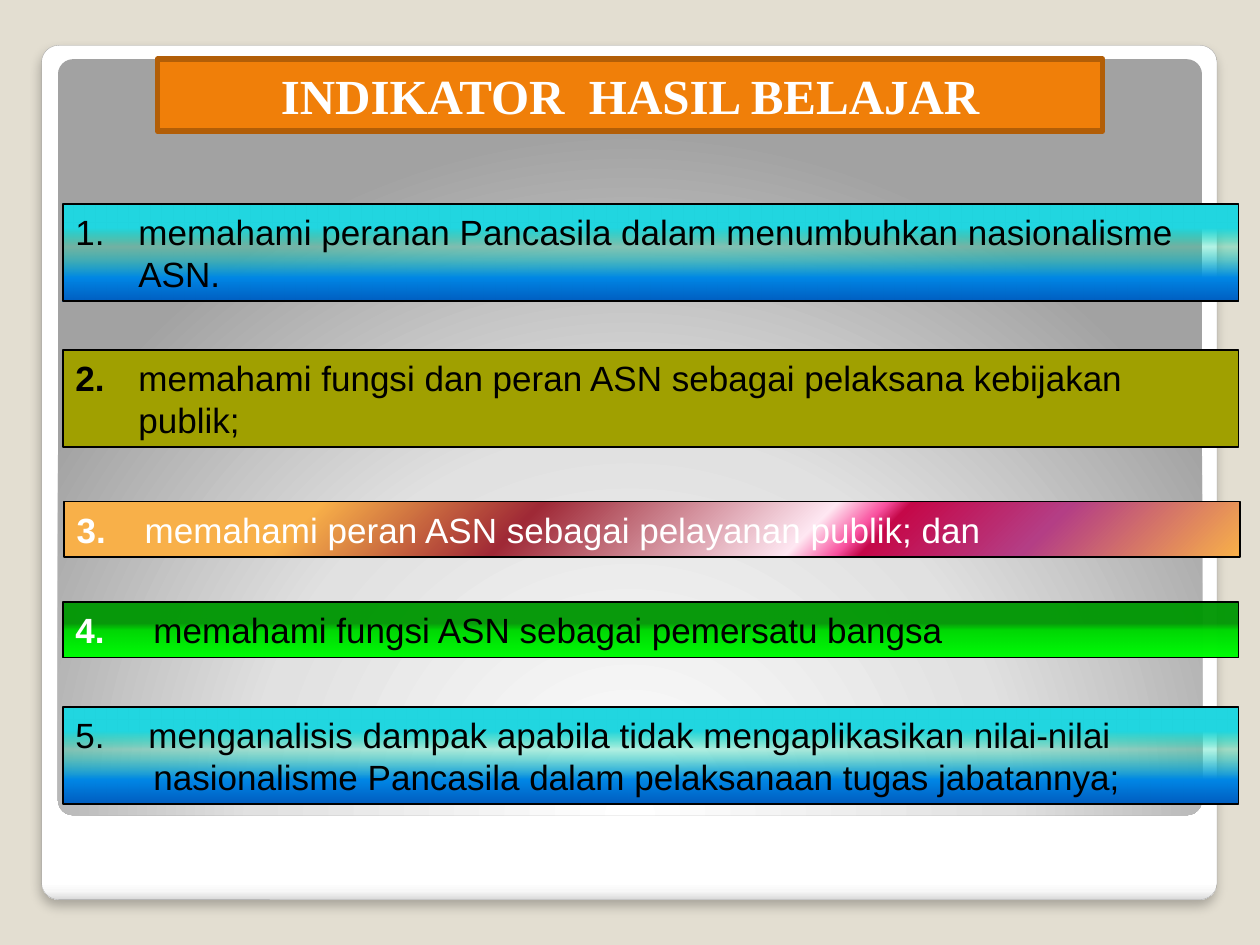
from dataclasses import dataclass

from pptx import Presentation
from pptx import util as u
from pptx.dml.color import RGBColor
from pptx.enum import shapes, text
from pptx.oxml import ns, parse_xml


@dataclass(frozen=True)
class Theme:
    """Colours, gradients, fonts and type sizes of the slide."""
    back: str = "E3DED1"
    edge: str = "A4A4A4"
    head: str = "F07F09"
    rim: str = "B25E07"
    dark: str = "000000"
    light: str = "FFFFFF"
    olive: str = "A0A000"
    card: tuple = ((0, "FFFFFF"), (98, "FFFFFF"), (99, "F7F7F7"), (100, "DADADA"))
    glow: tuple = ((0, "FFFFFF"), (55, "E1E1E1"), (100, "A2A2A2"))
    sea: tuple = ((25, "21D6E0"), (44, "03D4A8", 29), (75, "0087E6"), (100, "005CBF"))
    green: tuple = ((38, "009804", 96), (50, "00D805"), (100, "01FF07"))
    dawn: tuple = ((13, "F8B049"), (21, "F8B049"), (39, "9F2936"), (63, "FEE7F2"),
                   (67, "F952A0"), (69, "C50849"), (82, "B43E85"), (100, "F8B049"))
    serif: str = "Times New Roman"
    sans: str = "Arial"
    big: int = 28
    body: int = 20


def node(tag, inner="", **attrs):
    """Return a drawing element made from a tag, inner XML and attributes."""
    pairs = " ".join(f'{key}="{val}"' for key, val in attrs.items())
    return parse_xml(f'<a:{tag} {ns.nsdecls("a")} {pairs}>{inner}</a:{tag}>')


def write(para, words, font, size, color, bold=False):
    """Add a formatted run to a paragraph."""
    run = para.add_run()
    run.text = words
    run.font.name, run.font.size, run.font.bold = font, u.Pt(size), bold
    run.font.color.rgb = RGBColor.from_string(color)


def hang(para, depth, first=True):
    """Indent a paragraph, with its first line hanging back when asked."""
    props = para._p.get_or_add_pPr()
    props.set("marL", str(u.Inches(depth)))
    props.set("indent", str(-u.Inches(depth) if first else 0))
    return props


class Deck:
    """Holds the theme and the current slide."""

    def __init__(self, theme):
        """Open a blank title-only slide."""
        self.theme = theme
        self.prs = Presentation()
        self.prs.slide_width, self.prs.slide_height = u.Inches(10), u.Inches(7.5)
        self.slide = self.prs.slides.add_slide(self.prs.slide_layouts[5])
        fill = self.slide.background.fill
        fill.solid()
        fill.fore_color.rgb = RGBColor.from_string(theme.back)

    def paint(self, shape, fill, line=None, thick=1, angle=90):
        """Give a shape a plain or gradient fill and an outline."""
        if isinstance(fill, str):
            shape.fill.solid()
            shape.fill.fore_color.rgb = RGBColor.from_string(fill)
        else:
            self.blend(shape, fill, angle)
        if line:
            shape.line.color.rgb = RGBColor.from_string(line)
            shape.line.width = u.Pt(thick)
        else:
            shape.line.fill.background()

    def blend(self, shape, stops, angle):
        """Fill a shape with a linear gradient, or a radial one without angle."""
        marks = ""
        for spot, color, *alpha in stops:
            clear = f'<a:alpha val="{alpha[0] * 1000}"/>' if alpha else ""
            marks += f'<a:gs pos="{spot * 1000}"><a:srgbClr val="{color}">{clear}</a:srgbClr></a:gs>'
        if angle is None:
            way = ('<a:path path="circle"><a:fillToRect l="50000" t="175000" '
                   'r="50000" b="-75000"/></a:path>')
        else:
            way = f'<a:lin ang="{angle * 60000}" scaled="0"/>'
        shape.fill.background()
        props = shape._element.spPr
        old = props.find(ns.qn("a:noFill"))
        props.replace(old, node("gradFill", f"<a:gsLst>{marks}</a:gsLst>{way}", rotWithShape=1))

    def box(self, kind, left, top, width, height, fill, **style):
        """Add a painted shape."""
        shape = self.slide.shapes.add_shape(kind, *map(u.Inches, (left, top, width, height)))
        shape.shadow.inherit = False
        self.paint(shape, fill, **style)
        return shape

    def panel(self, *area, cast=False, **style):
        """Add a rounded panel, with a soft shadow when asked."""
        shape = self.box(shapes.MSO_SHAPE.ROUNDED_RECTANGLE, *area, **style)
        shape.adjustments[0] = 0.02
        if cast:
            tint = '<a:srgbClr val="000000"><a:alpha val="25000"/></a:srgbClr>'
            shape._element.spPr.find(ns.qn("a:effectLst")).append(
                node("outerShdw", tint, blurRad=u.Pt(6), dist=u.Pt(4), dir=5400000))

    def title(self, words):
        """Place the title in its framed band."""
        shape, look = self.slide.shapes.title, self.theme
        shape.left, shape.top, shape.width, shape.height = map(u.Inches, (1.25, 0.47, 7.5, 0.57))
        self.paint(shape, look.head, line=look.rim, thick=3.35)
        frame = shape.text_frame
        frame.auto_size = text.MSO_AUTO_SIZE.NONE
        frame.vertical_anchor = text.MSO_ANCHOR.MIDDLE
        para = frame.paragraphs[0]
        para.alignment = text.PP_ALIGN.CENTER
        write(para, words, font=look.serif, size=look.big, color=look.light, bold=True)
        self.slide.shapes._spTree.append(shape._element)

    def bar(self, num, top, height, words, fill, left=0.5, depth=0.5, auto=False,
            tail=None, mark=Theme.dark, color=Theme.dark, angle=90):
        """Add a numbered bar with an optional second paragraph."""
        look = self.theme
        shape = self.box(shapes.MSO_SHAPE.RECTANGLE, left, top, 9.33, height, fill,
                         line=look.dark, angle=angle)
        frame = shape.text_frame
        frame.word_wrap = True
        frame.vertical_anchor = text.MSO_ANCHOR.MIDDLE
        para = frame.paragraphs[0]
        para.alignment = text.PP_ALIGN.LEFT
        props = hang(para, depth)
        font = dict(font=look.sans, size=look.body)
        if auto:
            props.append(node("buFont", typeface=look.sans))
            props.append(node("buAutoNum", type="arabicPeriod", startAt=num))
        else:
            write(para, f"{num}.\t", color=mark, bold=True, **font)
        write(para, words, color=color, **font)
        if tail:
            para = frame.add_paragraph()
            para.alignment = text.PP_ALIGN.LEFT
            hang(para, 0.62, first=False)
            write(para, tail, color=color, **font)


def main():
    """Build and save the slide."""
    look = Theme()
    deck = Deck(look)
    deck.panel(0.33, 0.36, 9.33, 6.78, fill=look.card, line=look.edge, thick=0.16, cast=True)
    deck.panel(0.46, 0.47, 9.08, 6, fill=look.glow, angle=None)
    deck.title("INDIKATOR  HASIL BELAJAR")
    deck.bar(1, 1.62, 0.77, "memahami peranan Pancasila dalam menumbuhkan nasionalisme ASN.",
             look.sea, auto=True)
    deck.bar(2, 2.78, 0.77, "memahami fungsi dan peran ASN sebagai pelaksana kebijakan publik;",
             look.olive)
    deck.bar(3, 3.98, 0.44, "memahami peran ASN sebagai pelayanan publik; dan", look.dawn,
             left=0.51, depth=0.54, mark=look.light, color=look.light, angle=45)
    deck.bar(4, 4.78, 0.44, "memahami fungsi ASN sebagai pemersatu bangsa", look.green,
             depth=0.62, mark=look.light)
    deck.bar(5, 5.61, 0.77, "menganalisis dampak apabila tidak mengaplikasikan nilai-nilai",
             look.sea, depth=0.58, auto=True,
             tail="nasionalisme Pancasila dalam pelaksanaan tugas jabatannya;")
    deck.prs.save("out.pptx")


if __name__ == "__main__":
    main()
